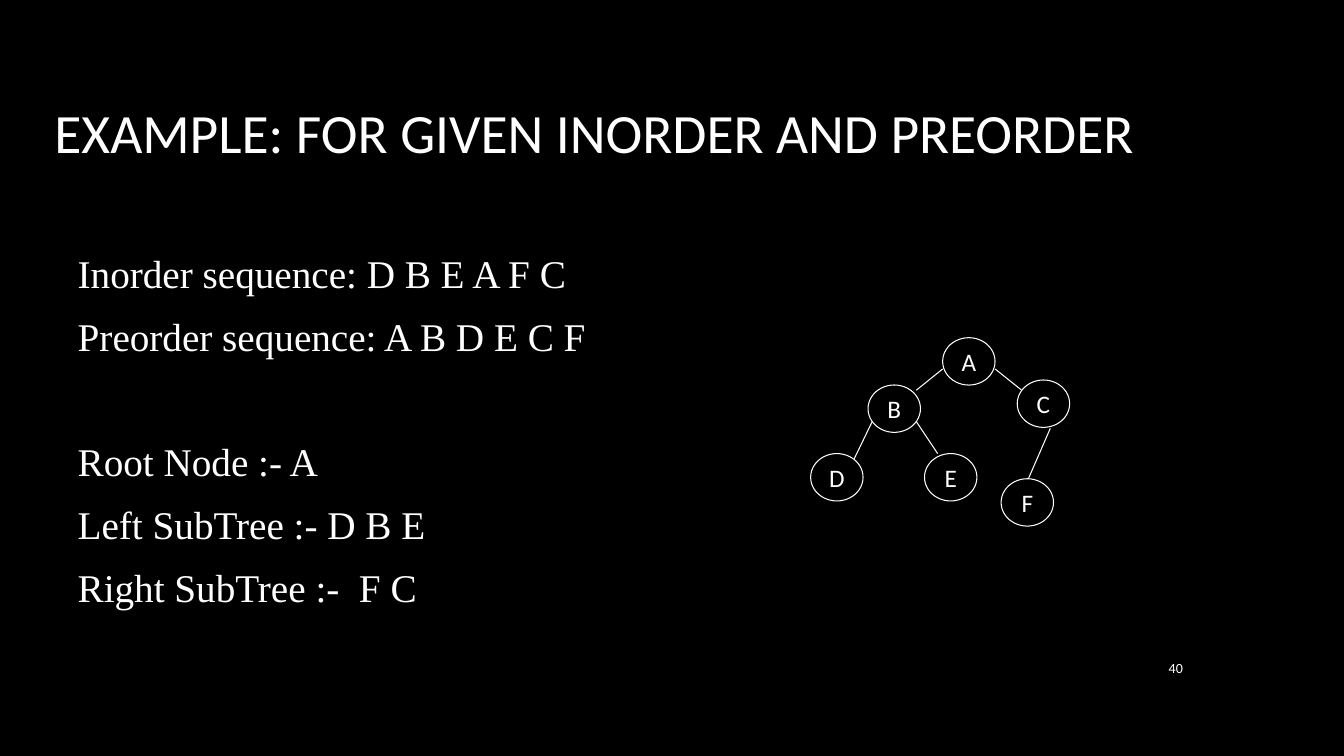
from dataclasses import dataclass

from lxml import etree
from pptx import Presentation
from pptx import util as u
from pptx.dml.color import RGBColor
from pptx.enum import shapes, text
from pptx.oxml.ns import qn


@dataclass(frozen=True)
class Theme:
    """Colours, fonts and sizes in points."""
    back: RGBColor = RGBColor(0, 0, 0)
    ink: RGBColor = RGBColor(255, 255, 255)
    sans: str = "Calibri"
    serif: str = "Times New Roman"
    title: float = 39.6
    body: float = 28
    label: float = 18
    note: float = 10
    line: float = 0.75
    gap: float = 11.6
    break_gap: float = 43.8


T = Theme()
WIDE, HIGH = u.Inches(13.33), u.Inches(7.5)
NODE = (3.9, 6.27)
NODES = {
    "A": (70.14, 44.67), "B": (64.59, 50.93), "C": (75.69, 50.27),
    "D": (60.32, 60), "E": (68.79, 60), "F": (74.49, 63.33),
}
EDGES = [
    ("A", (0, 0.66), "B", (0.92, 0.11)),
    ("A", (1, 0.66), "C", (0.08, 0.21)),
    ("B", (0.08, 0.77), "D", (0.83, 0.11)),
    ("B", (0.92, 0.77), "E", (0.25, 0)),
    ("C", (0.63, 1.02), "F", (0.52, 0)),
]
BLOCKS = [
    ["Inorder sequence: D B E A F C", "Preorder sequence: A B D E C F"],
    ["Root Node :- A", "Left SubTree :- D B E", "Right SubTree :-  F C"],
]


def share(x, y):
    """Turn percentages of the slide into lengths."""
    return int(WIDE * x / 100), int(HIGH * y / 100)


def place(shape, x, y, w, h):
    """Set a shape's box in percentages of the slide."""
    shape.left, shape.top = share(x, y)
    shape.width, shape.height = share(w, h)


def write(para, words, size, font, align=text.PP_ALIGN.LEFT):
    """Add one styled run to a paragraph."""
    para.alignment = align
    run = para.add_run()
    run.text = words
    run.font.size, run.font.name = u.Pt(size), font
    run.font.color.rgb = T.ink


def frame(shape, anchor, wrap=True):
    """Prepare a shape's text frame and return it."""
    area = shape.text_frame
    area.auto_size = text.MSO_AUTO_SIZE.NONE
    area.word_wrap, area.vertical_anchor = wrap, anchor
    return area


def add_title(slide, words):
    """Fill the title placeholder."""
    shape = slide.shapes.title
    place(shape, 3.3, 5.2, 95.05, 16.67)
    area = frame(shape, text.MSO_ANCHOR.MIDDLE)
    area.margin_top, area.margin_bottom = share(0, 7.6)[1], 0
    write(area.paragraphs[0], words, T.title, T.sans)


def add_body(slide, blocks):
    """Fill the body placeholder with spaced blocks of plain lines."""
    shape = slide.placeholders[1]
    place(shape, 5.03, 32.93, 90.02, 60.4)
    area = frame(shape, text.MSO_ANCHOR.TOP)
    area.margin_top = area.margin_bottom = 0
    for b, block in enumerate(blocks):
        for i, words in enumerate(block):
            para = area.add_paragraph() if b or i else area.paragraphs[0]
            para.space_before = u.Pt(T.break_gap if b and not i else 0)
            para.space_after = u.Pt(T.gap)
            props = para._p.get_or_add_pPr()
            props.set("marL", "0")
            props.set("indent", "0")
            etree.SubElement(props, qn("a:buNone"))
            write(para, words, T.body, T.serif)


def add_edge(group, start, out, end, into):
    """Draw a line between points given as shares of two nodes."""
    ends = []
    for name, spot in ((start, out), (end, into)):
        ends += share(*(p + s * n for p, s, n in zip(NODES[name], spot, NODE)))
    line = group.shapes.add_connector(shapes.MSO_CONNECTOR.STRAIGHT, *ends)
    line.line.color.rgb, line.line.width = T.ink, u.Pt(T.line)
    etree.SubElement(line._element.spPr, qn("a:effectLst"))


def add_node(group, name, spot):
    """Draw a labelled tree node."""
    node = group.shapes.add_shape(shapes.MSO_SHAPE.OVAL, *share(*spot), *share(*NODE))
    node.shadow.inherit = False
    node.fill.background()
    node.line.color.rgb, node.line.width = T.ink, u.Pt(T.line)
    area = frame(node, text.MSO_ANCHOR.MIDDLE, False)
    area.margin_left = area.margin_right = area.margin_top = area.margin_bottom = 0
    write(area.paragraphs[0], name, T.label, T.sans, text.PP_ALIGN.CENTER)


def add_tree(slide):
    """Draw the binary tree as one group."""
    group = slide.shapes.add_group_shape()
    for name, spot in NODES.items():
        add_node(group, name, spot)
    for edge in EDGES:
        add_edge(group, *edge)


def add_number(slide, words):
    """Add the page number."""
    shape = slide.shapes.add_textbox(*share(84.25, 85.6), *share(4.5, 5.47))
    area = frame(shape, text.MSO_ANCHOR.MIDDLE)
    write(area.paragraphs[0], words, T.note, T.sans, text.PP_ALIGN.RIGHT)


def main():
    """Build and save the slide."""
    deck = Presentation()
    deck.slide_width, deck.slide_height = WIDE, HIGH
    slide = deck.slides.add_slide(deck.slide_layouts[1])
    slide.background.fill.solid()
    slide.background.fill.fore_color.rgb = T.back
    add_title(slide, "EXAMPLE: FOR GIVEN INORDER AND PREORDER")
    add_body(slide, BLOCKS)
    add_number(slide, "40")
    add_tree(slide)
    deck.save("out.pptx")


if __name__ == "__main__":
    main()
